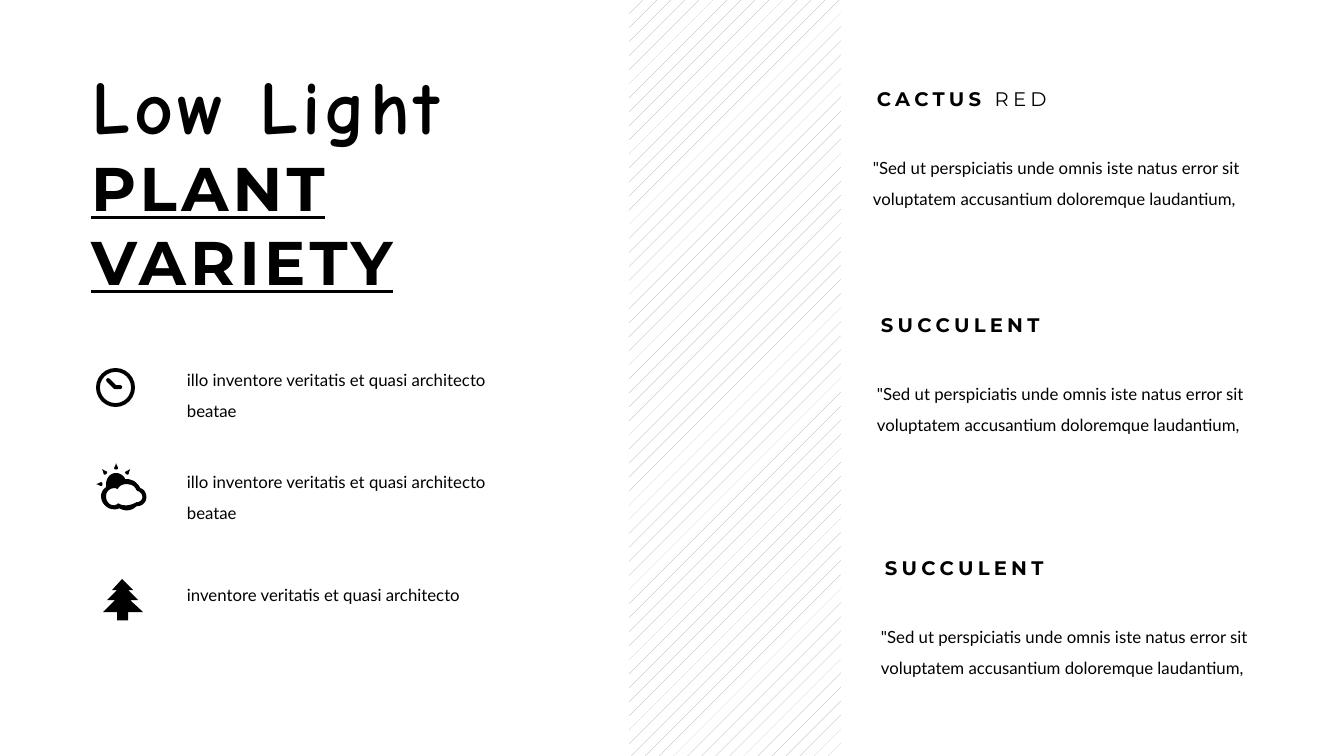
import math
from dataclasses import dataclass

from lxml import etree
from pptx import Presentation
from pptx import util as u
from pptx.dml.color import RGBColor
from pptx.enum import dml, shapes, text
from pptx.oxml.ns import qn

PX = 12192000 / 1344  # EMU per px
ICON_UNIT = 9144  # EMU per icon grid unit
FINE = 10  # outline steps per icon grid unit


@dataclass(frozen=True)
class Theme:
    ink: RGBColor = RGBColor(0, 0, 0)
    hatch: RGBColor = RGBColor(0xA0, 0xB1, 0x9A)
    paper: RGBColor = RGBColor(255, 255, 255)
    script: str = "Comic Neue"
    display: str = "Montserrat"
    body: str = "Lato"
    script_size: int = 54
    title_size: int = 44
    heading_size: int = 14
    body_size: int = 12


THEME = Theme()
TITLE = [
    ("Low Light", {"name": THEME.script, "size": u.Pt(THEME.script_size)}),
    ("PLANT", {"underline": True}),
    ("VARIETY", {"underline": True}),
]
QUOTE = ('"Sed ut perspiciatis unde omnis iste natus error sit '
         'voluptatem accusantium doloremque laudantium,')
PLANTS = [
    ((863, 70), [("CACTUS", True), (" RED", False)]),
    ((867, 296), [("SUCCULENT", True)]),
    ((871, 539), [("SUCCULENT", True)]),
]
TREE = [(40, 33), (27, 21), (35, 21), (25, 11), (30, 11), (19, 0), (9, 11), (14, 11),
        (4, 21), (12, 21), (0, 33), (14, 33), (14, 41), (25, 41), (25, 33)]
# Each step is an end point, or two controls and an end point.
CLOUD_OUTSIDE = [
    (44, 25), (41, 19, 36, 16, 30, 16), (29, 16), (28, 13, 24, 10, 20, 10),
    (14, 10, 10, 15, 10, 21), (10, 24), (7, 26, 5, 29, 5, 33), (5, 40, 11, 46, 18, 46),
    (20, 46, 21, 46, 23, 45), (25, 46, 28, 47, 30, 47), (34, 47, 37, 46, 40, 43),
    (46, 43, 50, 39, 50, 34), (50, 30, 48, 26, 44, 25),
]
CLOUD_INSIDE = [
    (40, 39), (38, 40), (36, 41, 33, 42, 30, 42), (28, 42, 26, 42, 24, 41), (22, 40),
    (21, 41, 19, 42, 18, 42), (13, 42, 10, 38, 10, 33), (10, 29, 13, 25, 18, 25),
    (20, 25), (21, 26), (22, 25), (24, 22, 27, 21, 30, 21), (35, 21, 39, 23, 40, 27),
    (42, 28), (44, 29, 46, 31, 46, 34), (46, 37, 43, 39, 40, 39),
]
RAY = [(0, 0), (1, 0, 5, 2, 5, 2), (7, 2, 7, -2, 5, -2), (5, -2, 1, 0, 0, 0)]
RAYS = [((20, 0), 90), ((0, 21), 0), ((34, 6), 130), ((6, 6), 50)]  # tip, angle


def px(*lengths):
    return [u.Emu(round(length * PX)) for length in lengths]


def format_with(target, **values):
    for name, value in values.items():
        setattr(target, name, value)


def add_run(paragraph, content, spacing=0, **font):
    run = paragraph.add_run()
    run.text = content
    format_with(run.font, **font)
    run.font.color.rgb = THEME.ink
    if spacing:
        run.font._element.set("spc", str(spacing * 100))


def add_text(slide, box, runs):
    """Add one wrapped paragraph; runs are (content, run format) pairs."""
    frame = slide.shapes.add_textbox(*px(*box)).text_frame
    frame.word_wrap = True
    paragraph = frame.paragraphs[0]
    paragraph.line_spacing = 1.5
    for content, style in runs:
        add_run(paragraph, content, **style)


def add_body(slide, box, content):
    add_text(slide, box, [(content, {"name": THEME.body, "size": u.Pt(THEME.body_size)})])


def paint(shape):
    shape.shadow.inherit = False
    shape.fill.solid()
    shape.fill.fore_color.rgb = THEME.ink
    shape.line.fill.background()


def flatten(steps):
    """Turn lines and cubic curves into a list of points."""
    points = [steps[0]]
    for step in steps[1:]:
        if len(step) == 2:
            points.append(step)
            continue
        start = points[-1]
        for t in (k / 8 for k in range(1, 9)):
            s = 1 - t
            points.append(tuple(
                s**3 * start[axis] + 3 * s * s * t * step[axis]
                + 3 * s * t * t * step[2 + axis] + t**3 * step[4 + axis]
                for axis in (0, 1)))
    return points


def add_outline(collection, origin, contours, close=True):
    builder = None
    for contour in contours:
        first, *rest = [(x * FINE, y * FINE) for x, y in contour]
        if builder is None:
            builder = collection.build_freeform(*first, scale=ICON_UNIT / FINE)
        else:
            builder.move_to(*first)
        builder.add_line_segments(rest, close=close)
    shape = builder.convert_to_shape(*px(*origin))
    paint(shape)
    return shape


def draw_clock(slide, left, top):
    ring = slide.shapes.add_shape(shapes.MSO_SHAPE.DONUT, *px(left, top, 39, 39))
    ring.adjustments[0] = 0.1
    paint(ring)
    hands = add_outline(slide.shapes, (left, top), [[(12, 12), (19, 19), (24, 19)]], close=False)
    hands.fill.background()
    hands.line.color.rgb = THEME.ink
    hands.line.width = px(4)[0]
    line = hands._element.spPr.find(qn("a:ln"))
    line.set("cap", "rnd")
    etree.SubElement(line, qn("a:round"))


def draw_weather(slide, left, top):
    group = slide.shapes.add_group_shape().shapes
    add_outline(group, (left, top), [flatten(CLOUD_OUTSIDE), flatten(CLOUD_INSIDE)])
    for (tip_x, tip_y), degrees in RAYS:
        cosine, sine = math.cos(math.radians(degrees)), math.sin(math.radians(degrees))
        ray = [(tip_x + x * cosine - y * sine, tip_y + x * sine + y * cosine)
               for x, y in flatten(RAY)]
        add_outline(group, (left, top), [ray])


def draw_tree(slide, left, top):
    add_outline(slide.shapes, (left, top), [TREE])


def add_title(slide, box):
    title = slide.shapes.title
    format_with(title, **dict(zip(("left", "top", "width", "height"), px(*box))))
    frame = title.text_frame
    format_with(frame, word_wrap=True, vertical_anchor=text.MSO_ANCHOR.TOP,
                auto_size=text.MSO_AUTO_SIZE.SHAPE_TO_FIT_TEXT)
    for index, (content, style) in enumerate(TITLE):
        paragraph = frame.add_paragraph() if index else frame.paragraphs[0]
        paragraph.alignment = text.PP_ALIGN.LEFT
        base = {"name": THEME.display, "size": u.Pt(THEME.title_size), "bold": True}
        add_run(paragraph, content, spacing=3, **(base | style))


def add_hatched_band(slide, box):
    band = slide.shapes.add_shape(shapes.MSO_SHAPE.RECTANGLE, *px(*box))
    paint(band)
    band.fill.patterned()
    band.fill.pattern = dml.MSO_PATTERN.PERCENT_5
    band.fill.fore_color.rgb = THEME.hatch
    band.fill.back_color.rgb = THEME.paper


def add_feature(slide, box, draw_icon, icon_offset, content):
    left, top, width, height = box
    draw_icon(slide, left + icon_offset[0], top + icon_offset[1])
    add_body(slide, (left + 81, top, width - 81, height), content)


def add_plant(slide, left, top, heading):
    style = {"name": THEME.display, "size": u.Pt(THEME.heading_size), "spacing": 3}
    add_text(slide, (left + 4, top, 393, 49),
             [(content, style | {"bold": bold}) for content, bold in heading])
    add_body(slide, (left, top + 73, 412, 90), QUOTE)


def main():
    presentation = Presentation()
    presentation.slide_width, presentation.slide_height = px(1344, 756)
    slide = presentation.slides.add_slide(presentation.slide_layouts[5])
    add_hatched_band(slide, (629, 0, 212, 756))
    add_title(slide, (81, 54, 510, 251))
    illo = "illo inventore veritatis et quasi architecto beatae"
    add_feature(slide, (96, 355, 440, 86), draw_clock, (0, 13), illo)
    add_feature(slide, (96, 457, 406, 86), draw_weather, (0, 6), illo)
    add_feature(slide, (96, 570, 423, 66), draw_tree, (7, 9),
                "inventore veritatis et quasi architecto")
    for (left, top), heading in PLANTS:
        add_plant(slide, left, top, heading)
    presentation.save("out.pptx")


if __name__ == "__main__":
    main()
